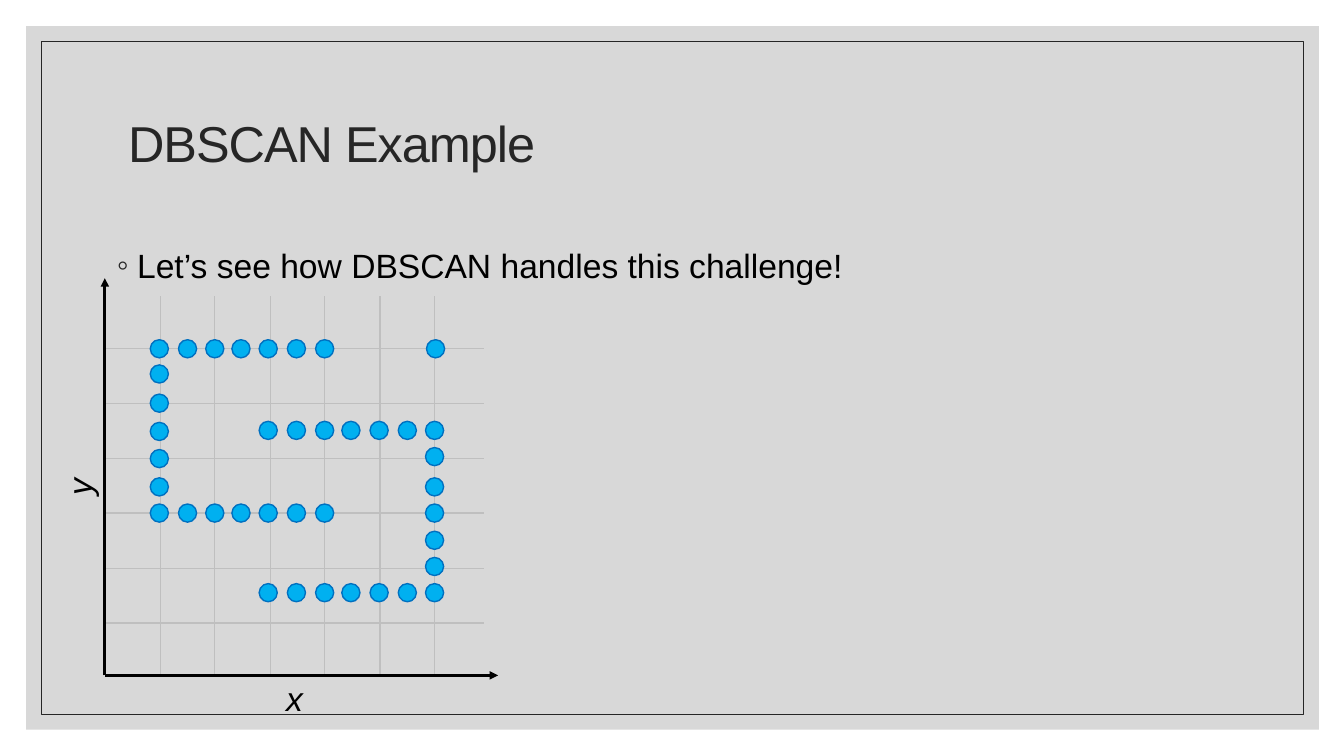
from dataclasses import dataclass
from itertools import product

from lxml import etree
from pptx import Presentation
from pptx import util as u
from pptx.dml.color import RGBColor
from pptx.enum import shapes, text
from pptx.oxml import ns

PX = 9144  # EMU per px, 100 px to the inch


@dataclass(frozen=True)
class Theme:
    font: str = "Arial"
    ink: str = "262626"
    black: str = "000000"
    grey: str = "BFBFBF"
    dot_fill: str = "00B0F0"
    dot_line: str = "0070C0"
    title_size: int = 36
    text_size: int = 24


@dataclass(frozen=True)
class Line:
    start: tuple[int, int]
    end: tuple[int, int]
    color: str
    width: float
    arrow: bool = False


@dataclass(frozen=True)
class AxisLabel:
    name: str
    box: tuple[int, int, int, int]
    rotation: int


@dataclass(frozen=True)
class DotRun:
    lefts: tuple[int, ...]
    tops: tuple[int, ...]


T = Theme()
DOT = 18

# Plot geometry
X0, Y0 = 104, 670
GRID_STEPS = [round(54.4 * i) for i in range(6)]
LINES = [
    *(Line((159 + d, Y0), (159 + d, 294), T.grey, 1) for d in GRID_STEPS),
    *(Line((X0, 346 + d), (480, 346 + d), T.grey, 1) for d in GRID_STEPS),
    Line((X0, Y0), (X0, 276), T.black, 2, True),
    Line((X0, Y0), (494, Y0), T.black, 2, True),
]
LABELS = [AxisLabel("x", (274, 668, 37, 50), 0),
          AxisLabel("y", (59, 457, 38, 50), 270)]

# Two interlocking clusters and one outlier
COLS = (149, 177, 204, 230, 257, 285, 313, 339, 367, 395, 422)
LEFT_ROWS = (337, 362, 391, 419, 446, 474, 500)
RIGHT_ROWS = (418, 444, 474, 500, 527, 553, 579)
RUNS = [
    DotRun(COLS[:7], (LEFT_ROWS[0], LEFT_ROWS[-1])),
    DotRun(COLS[:1], LEFT_ROWS[1:-1]),
    DotRun(COLS[4:], (RIGHT_ROWS[0], RIGHT_ROWS[-1])),
    DotRun(COLS[-1:], RIGHT_ROWS[1:-1]),
    DotRun((423,), (337,)),
]


def emu(*lengths: int) -> list[int]:
    return [n * PX for n in lengths]


def set_all(obj, **values) -> None:
    for name, value in values.items():
        setattr(obj, name, value)


def place(sp, *box: int) -> None:
    set_all(sp, **dict(zip(("left", "top", "width", "height"), emu(*box))))


def add_run(p, words: str, size: int, color: str, **fmt):
    r = p.add_run()
    r.text = words
    set_all(r.font, name=T.font, size=u.Pt(size), **fmt)
    r.font.color.rgb = RGBColor.from_string(color)
    return r


def add_shape(s, kind, box: tuple, fill: str = "", line: str = "", width: float = 1):
    sp = s.shapes.add_shape(kind, *emu(*box))
    sp.shadow.inherit = False
    if fill:
        sp.fill.solid()
        sp.fill.fore_color.rgb = RGBColor.from_string(fill)
    else:
        sp.fill.background()
    if line:
        sp.line.color.rgb = RGBColor.from_string(line)
        sp.line.width = u.Pt(width)
    else:
        sp.line.fill.background()
    return sp


def add_line(s, line: Line) -> None:
    c = s.shapes.add_connector(shapes.MSO_CONNECTOR.STRAIGHT,
                               *emu(*line.start, *line.end))
    c.line.color.rgb = RGBColor.from_string(line.color)
    c.line.width = u.Pt(line.width)
    if line.arrow:
        etree.SubElement(c.line._get_or_add_ln(), ns.qn("a:tailEnd"), type="triangle")
    etree.SubElement(c._element.spPr, ns.qn("a:effectLst"))


def add_label(s, label: AxisLabel) -> None:
    sp = s.shapes.add_textbox(*emu(*label.box))
    sp.rotation = label.rotation
    set_all(sp.text_frame, word_wrap=False,
            auto_size=text.MSO_AUTO_SIZE.SHAPE_TO_FIT_TEXT)
    add_run(sp.text_frame.paragraphs[0], label.name, T.text_size, T.black, italic=True)


def add_frame(s) -> None:
    rect = shapes.MSO_SHAPE.RECTANGLE
    panel = add_shape(s, rect, (26, 26, 1282, 698), fill=T.grey)
    color = panel._element.spPr.find(".//" + ns.qn("a:srgbClr"))
    etree.SubElement(color, ns.qn("a:alpha"), val="60000")
    border = add_shape(s, rect, (41, 41, 1252, 668), line=T.ink, width=0.5)
    # Send both behind the placeholders
    for i, sp in enumerate((panel, border)):
        s.shapes._spTree.insert(2 + i, sp._element)


def fill_title(sp) -> None:
    place(sp, 117, 70, 1100, 150)
    tf = sp.text_frame
    set_all(tf, vertical_anchor=text.MSO_ANCHOR.MIDDLE,
            auto_size=text.MSO_AUTO_SIZE.NONE)
    p = tf.paragraphs[0]
    set_all(p, alignment=text.PP_ALIGN.LEFT, line_spacing=0.9)
    r = add_run(p, "DBSCAN Example", T.title_size, T.ink)
    r.font._element.set("spc", "-70")


def fill_body(sp) -> None:
    place(sp, 106, 230, 1110, 421)
    tf = sp.text_frame
    tf.auto_size = text.MSO_AUTO_SIZE.NONE
    p = tf.paragraphs[0]
    set_all(p, line_spacing=1.2, space_before=u.Pt(9))
    add_run(p, "Let’s see how DBSCAN handles this challenge!", T.text_size, T.black)
    pPr = p._p.get_or_add_pPr()
    pPr.set("marL", str(20 * PX))
    pPr.set("indent", str(-20 * PX))
    bullet_color = etree.SubElement(pPr, ns.qn("a:buClr"))
    etree.SubElement(bullet_color, ns.qn("a:srgbClr"), val=T.ink)
    etree.SubElement(pPr, ns.qn("a:buFont"), typeface=T.font)
    etree.SubElement(pPr, ns.qn("a:buChar"), char="◦")


def main() -> None:
    prs = Presentation()
    set_all(prs, slide_width=1333 * PX, slide_height=750 * PX)
    s = prs.slides.add_slide(prs.slide_layouts[1])

    # Frame and text
    add_frame(s)
    fill_title(s.shapes.title)
    fill_body(s.placeholders[1])

    # Grid and axes
    for line in LINES:
        add_line(s, line)
    for label in LABELS:
        add_label(s, label)

    # Data points
    for run in RUNS:
        for left, top in product(run.lefts, run.tops):
            add_shape(s, shapes.MSO_SHAPE.OVAL, (left, top, DOT, DOT),
                      T.dot_fill, T.dot_line)

    prs.save("out.pptx")


if __name__ == "__main__":
    main()
